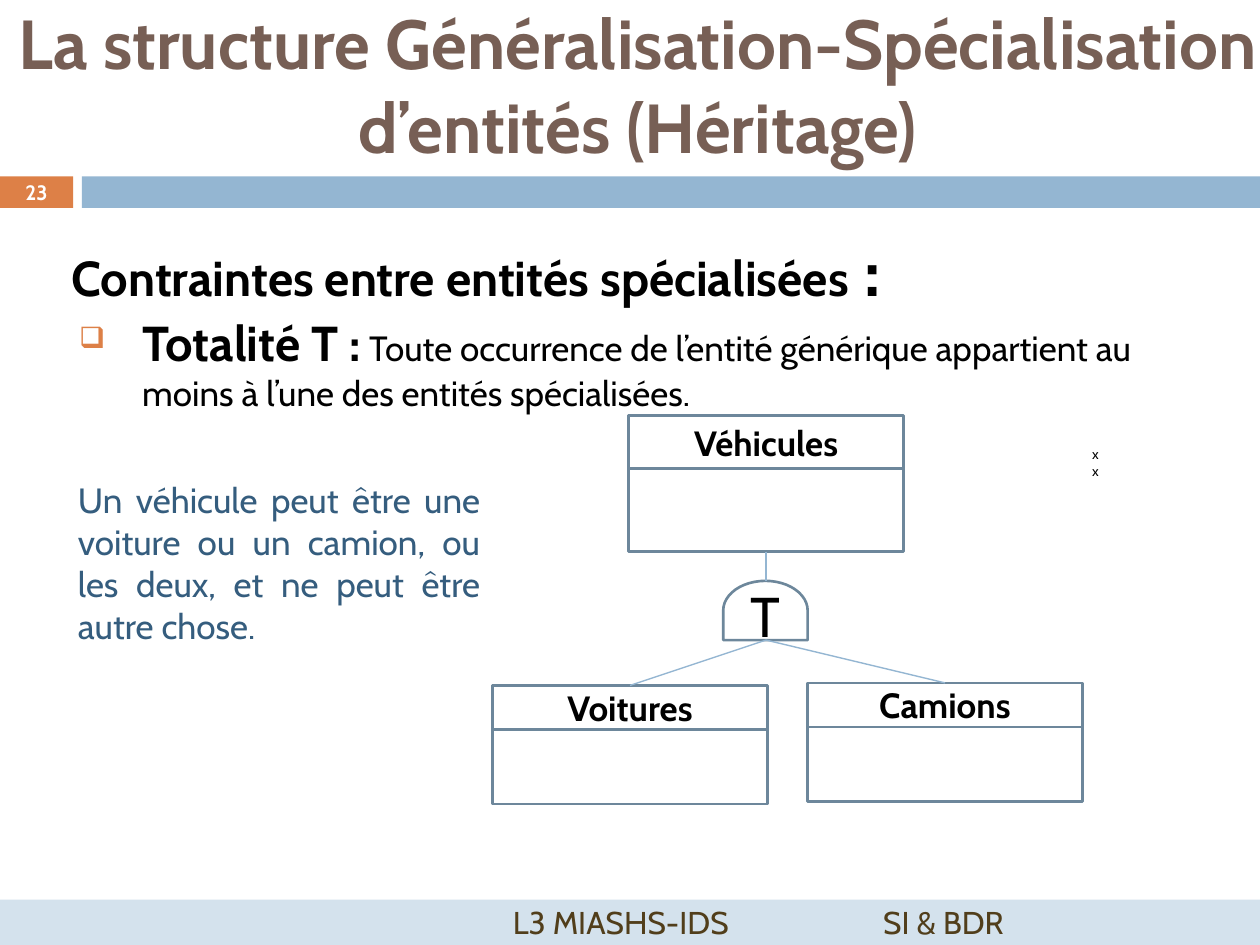
from pptx import Presentation
from pptx.dml.color import RGBColor
from pptx.enum.shapes import MSO_CONNECTOR as Link, MSO_SHAPE as Shape
from pptx.enum.text import MSO_ANCHOR as Anchor, PP_ALIGN as Align
from pptx.oxml.ns import qn
from pptx.util import Inches, Pt
from lxml.etree import SubElement

FONT = "Cabin"
BLACK, WHITE = "000000", "FFFFFF"
ORANGE, BLUE, PALE = "DD8047", "94B6D2", "D4E2ED"
BROWN, DARK_BROWN, NAVY, OUTLINE = "775F55", "513E1B", "355D7E", "6D879B"
ENTITY_WIDTH = 2.18
BOTTOM, TOP = 2, 0


def rgb(value):
    return RGBColor.from_string(value)


class SlideBuilder:
    def __init__(self, page):
        self.page = page

    def style(self, font, size, color=BLACK, bold=False):
        font.name, font.size, font.bold = FONT, Pt(size), bold
        font.color.rgb = rgb(color)

    def shape(self, area, fill=None, line=None, kind=Shape.RECTANGLE):
        shape = self.page.shapes.add_shape(kind, *map(Inches, area))
        shape.shadow.inherit = False
        if fill:
            shape.fill.solid()
            shape.fill.fore_color.rgb = rgb(fill)
        else:
            shape.fill.background()
        if line:
            shape.line.color.rgb = rgb(line)
            shape.line.width = Pt(1.5)
        else:
            shape.line.fill.background()
        return shape

    def label(self, shape, text, size, color=BLACK, bold=False, align=Align.CENTER):
        frame = shape.text_frame
        frame.word_wrap = True
        frame.vertical_anchor = Anchor.MIDDLE
        frame.margin_left = frame.margin_right = 0
        frame.margin_top = frame.margin_bottom = 0
        para = frame.paragraphs[0]
        para.alignment = align
        para.add_run().text = text
        self.style(para.font, size, color, bold)
        return para

    def box(self, area):
        box = self.page.shapes.add_textbox(*map(Inches, area))
        box.text_frame.word_wrap = True
        return box

    def text(self, area, lines, size, color=BLACK, align=Align.LEFT):
        frame = self.box(area).text_frame
        for index, line in enumerate(lines):
            para = frame.add_paragraph() if index else frame.paragraphs[0]
            para.alignment = align
            para.add_run().text = line
            self.style(para.font, size, color)

    def mixed(self, area, spans, bullet=None):
        para = self.box(area).text_frame.paragraphs[0]
        if bullet:
            self.bullet(para, bullet)
        for text, size, bold in spans:
            span = para.add_run()
            span.text = text
            self.style(span.font, size, bold=bold)

    def bullet(self, para, mark):
        props = para._p.get_or_add_pPr()
        props.set("marL", str(Inches(0.5)))
        props.set("indent", str(-Inches(0.5)))
        color = SubElement(props, qn("a:buClr"))
        SubElement(color, qn("a:srgbClr"), val=ORANGE)
        SubElement(props, qn("a:buSzPct"), val="60000")
        SubElement(props, qn("a:buChar"), char=mark)

    def tabs(self, para, stops):
        tab_list = SubElement(para._p.get_or_add_pPr(), qn("a:tabLst"))
        for stop in stops:
            SubElement(tab_list, qn("a:tab"), pos=str(Inches(stop)), algn="l")

    def entity(self, left, top, name, head_height, body_height):
        head = self.shape((left, top, ENTITY_WIDTH, head_height), line=OUTLINE)
        self.label(head, name, 20, bold=True)
        body_area = (left, top + head_height, ENTITY_WIDTH, body_height)
        return head, self.shape(body_area, line=OUTLINE)

    def constraint(self, area, letter):
        gate = self.shape(area, line=OUTLINE, kind=Shape.FLOWCHART_DELAY)
        gate.rotation = 270
        self.label(gate, letter, 32)
        gate.text_frame._txBody.bodyPr.set("vert", "vert")

    def link(self, start, end, source=None, target=None):
        line = self.page.shapes.add_connector(
            Link.STRAIGHT, *map(Inches, (*start, *end)))
        line.line.color.rgb = rgb(BLUE)
        line.line.width = Pt(0.79)
        SubElement(line._element.spPr, qn("a:effectLst"))
        if source:
            line.begin_connect(source, BOTTOM)
        if target:
            line.end_connect(target, TOP)


def main():
    deck = Presentation()
    deck.slide_width, deck.slide_height = Inches(10), Inches(7.5)
    slide = SlideBuilder(deck.slides.add_slide(deck.slide_layouts[6]))

    number = slide.shape((0, 1.4, 0.58, 0.25), ORANGE)
    slide.label(number, "23", 11.9, WHITE, True)
    slide.shape((0.65, 1.4, 9.35, 0.25), BLUE)

    footer = slide.shape((0, 7.14, 10, 0.36), PALE)
    footer_para = slide.label(
        footer, "\tL3 MIASHS-IDS\tSI & BDR", 18, DARK_BROWN, align=Align.LEFT)
    slide.tabs(footer_para, (4.07, 7.01))

    title = slide.box((0.12, 0, 9.88, 1.33))
    slide.label(
        title, "La structure Généralisation-Spécialisation d’entités (Héritage)",
        39.6, BROWN, True)

    slide.mixed((0.47, 1.75, 6.73, 0.74), [
        ("Contraintes entre entités spécialisées", 28, True),
        (" :", 40, True),
    ])
    slide.mixed((0.53, 2.43, 9.19, 0.85), [
        ("Totalité T :", 28, True),
        (" ", 20, True),
        ("Toute occurrence de l’entité générique appartient au moins "
         "à l’une des entités spécialisées.", 20, False),
    ], bullet="❑")
    slide.text((0.52, 3.75, 3.39, 1.66), [
        "Un véhicule peut être une voiture ou un camion, ou les deux, "
        "et ne peut être autre chose."], 20, NAVY, Align.JUSTIFY)
    slide.text((8.57, 3.49, 0.38, 0.37), ["x", "x"], 8)

    vehicles_body = slide.entity(4.99, 3.3, "Véhicules", 0.42, 0.66)[1]
    cars_head = slide.entity(3.91, 5.44, "Voitures", 0.35, 0.59)[0]
    trucks_head = slide.entity(6.41, 5.42, "Camions", 0.35, 0.59)[0]
    slide.constraint((5.84, 4.51, 0.47, 0.67), "T")

    gate_top, gate_bottom = (6.08, 4.61), (6.08, 5.08)
    slide.link((6.08, 4.37), gate_top, source=vehicles_body)
    slide.link(gate_bottom, (5, 5.44), target=cars_head)
    slide.link(gate_bottom, (7.5, 5.42), target=trucks_head)

    deck.save("out.pptx")


if __name__ == "__main__":
    main()
